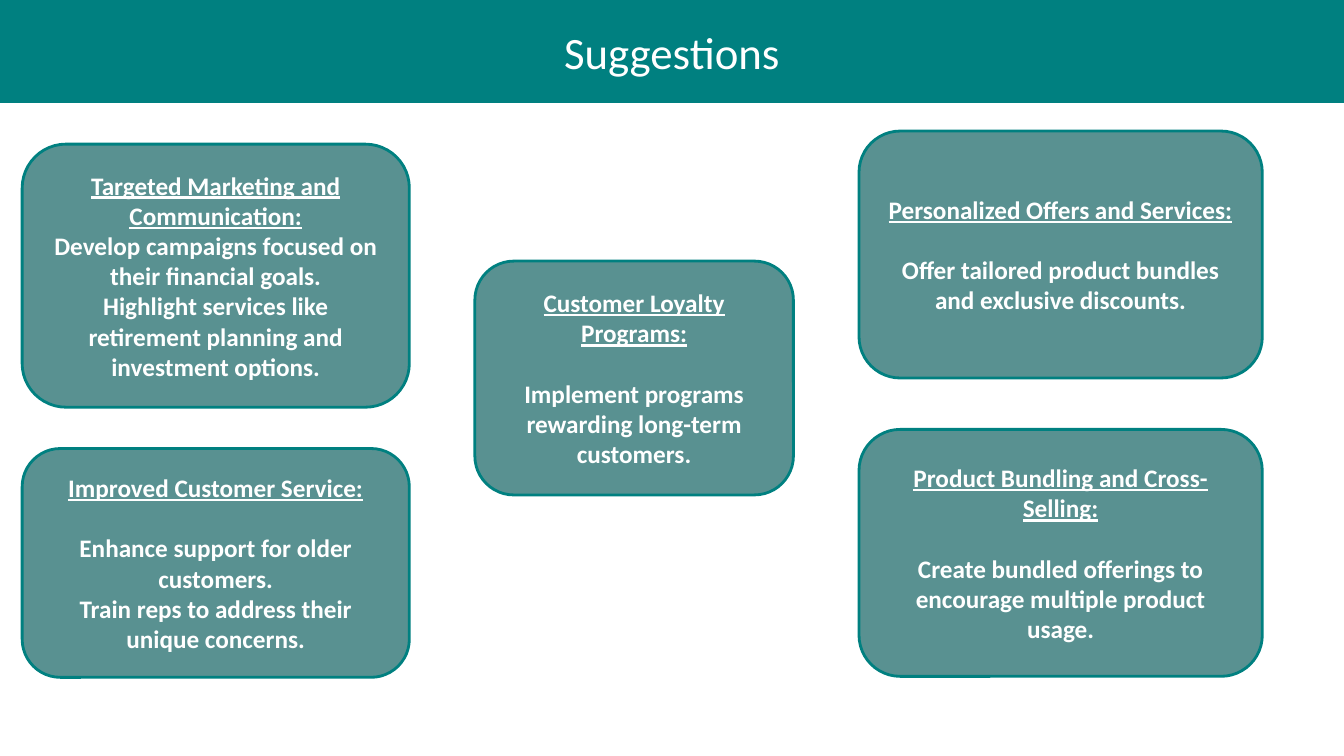
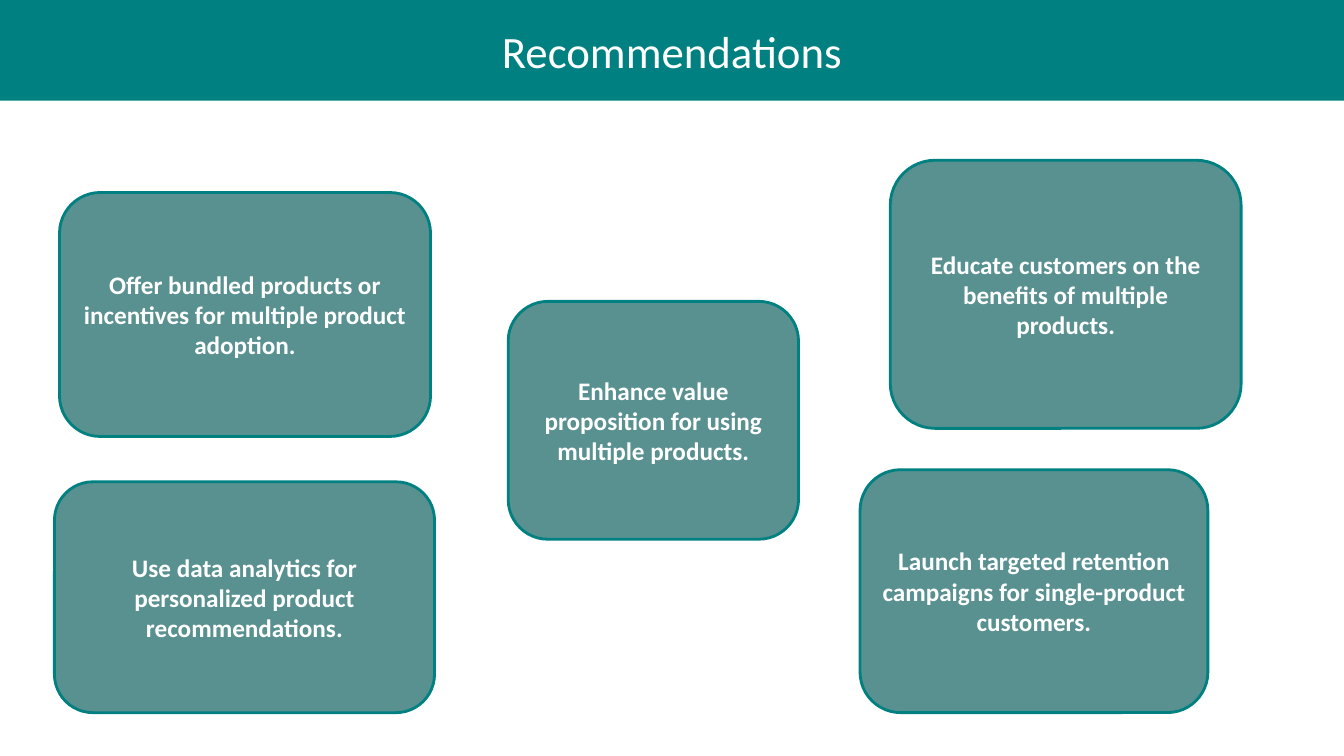
from pptx import Presentation
from pptx.dml.color import RGBColor
from pptx.enum import shapes, text
from pptx.util import Inches, Pt

TEAL = RGBColor(0x00, 0x80, 0x80)
SAGE = RGBColor(0x59, 0x91, 0x91)
WHITE = RGBColor(0xFF, 0xFF, 0xFF)
FONT = "Calibri"
WIDTH, HEIGHT = 13.33, 7.5
GAP = 21.6

TIPS = [
    ((0.22, 1.43, 3.84, 2.61), 0, "Targeted Marketing and Communication:",
     ["Develop campaigns focused on their financial goals.",
      "Highlight services like retirement planning and investment options."]),
    ((8.52, 1.3, 4, 2.45), GAP, "Personalized Offers and Services:",
     ["Offer tailored product bundles and exclusive discounts."]),
    ((0.22, 4.45, 3.84, 2.27), GAP, "Improved Customer Service:",
     ["Enhance support for older customers.",
      "Train reps to address their unique concerns."]),
    ((8.52, 4.26, 4, 2.45), GAP, "Product Bundling and Cross-Selling:",
     ["Create bundled offerings to encourage multiple product usage."]),
    ((4.71, 2.59, 3.16, 2.32), GAP, "Customer Loyalty Programs:",
     ["Implement programs rewarding long-term customers."]),
]

STEPS = [
    ((0.59, 1.91, 3.68, 2.42),
     "Offer bundled products or incentives for multiple product adoption."),
    ((5.04, 2.99, 2.88, 2.36),
     "Enhance value proposition for using multiple products."),
    ((0.54, 4.78, 3.77, 2.29),
     "Use data analytics for personalized product recommendations."),
    ((8.53, 4.66, 3.45, 2.41),
     "Launch targeted retention campaigns for single-product customers."),
    ((8.83, 1.59, 3.48, 2.66),
     "Educate customers on the benefits of multiple products."),
]


def add_box(slide, kind, area, fill, lines, size, bold=False):
    """Add a filled shape with centred white lines and return it."""
    box = slide.shapes.add_shape(kind, *map(Inches, area))
    box.shadow.inherit = False
    box.fill.solid()
    box.fill.fore_color.rgb = fill
    frame = box.text_frame
    frame.word_wrap = True
    frame.vertical_anchor = text.MSO_ANCHOR.MIDDLE
    frame.text = "\n".join(lines)
    for para in frame.paragraphs:
        para.alignment = text.PP_ALIGN.CENTER
        font = para.font
        font.name, font.size, font.bold = FONT, Pt(size), bold
        font.color.rgb = WHITE
    return box


def add_band(slide, title, height):
    """Add the title band across the top."""
    band = add_box(slide, shapes.MSO_SHAPE.RECTANGLE,
                   (0, 0, WIDTH, height), TEAL, [title], 32)
    band.line.fill.background()


def add_card(slide, area, lines):
    """Add a rounded card and return its paragraphs."""
    card = add_box(slide, shapes.MSO_SHAPE.ROUNDED_RECTANGLE,
                   area, SAGE, lines, 18, True)
    card.line.color.rgb = TEAL
    card.line.width = Pt(2)
    return card.text_frame.paragraphs


def add_tip(slide, area, gap, head, lines):
    """Add a card with an underlined heading."""
    first = add_card(slide, area, [head, *lines])[0]
    first.font.underline = True
    first.space_after = Pt(gap)


def main():
    """Build and save both slides."""
    deck = Presentation()
    deck.slide_width, deck.slide_height = Inches(WIDTH), Inches(HEIGHT)
    blank = deck.slide_layouts[6]

    slide = deck.slides.add_slide(blank)
    for tip in TIPS:
        add_tip(slide, *tip)
    add_band(slide, "Suggestions", 1.02)

    slide = deck.slides.add_slide(blank)
    for area, line in STEPS:
        add_card(slide, area, [line])
    add_band(slide, "Recommendations", 1)

    deck.save("out.pptx")


if __name__ == "__main__":
    main()
